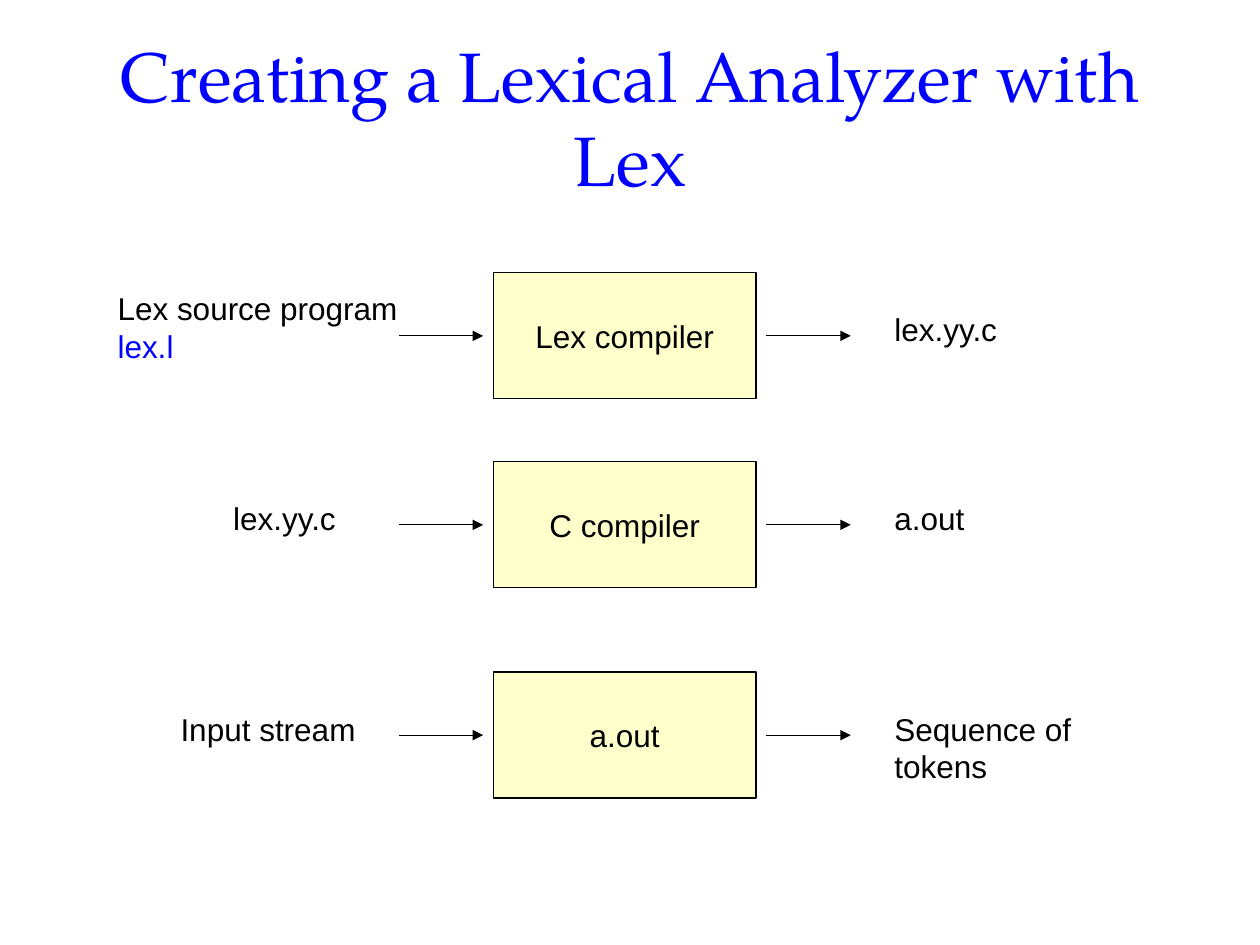
import pptx
import pptx.dml.color
import pptx.enum.shapes
import pptx.enum.text
import pptx.oxml.ns
import pptx.util
from lxml import etree

Cm = pptx.util.Cm
Pt = pptx.util.Pt
Align = pptx.enum.text.PP_ALIGN
Anchor = pptx.enum.text.MSO_ANCHOR
AutoSize = pptx.enum.text.MSO_AUTO_SIZE

COLORS = {"title": "0000FF", "file": "0000FF", "text": "000000",
          "line": "000000", "tool": "FFFFCC"}
TITLE_FONT = {"name": "TeX Gyre Pagella", "size": Pt(40)}
LABEL_FONT = {"name": "Arial", "size": Pt(18)}
TITLE_FRAME = {"word_wrap": True, "auto_size": AutoSize.NONE,
               "vertical_anchor": Anchor.MIDDLE}
TOOL_FRAME = {"word_wrap": False, "vertical_anchor": Anchor.MIDDLE}
LABEL_FRAME = {"word_wrap": True, "auto_size": AutoSize.SHAPE_TO_FIT_TEXT}
CENTERED = {"alignment": Align.CENTER}
LABEL_PARAGRAPH = {"alignment": Align.LEFT, "space_before": Pt(11.2)}

TOOL_LEFT, TOOL_WIDTH, TOOL_HEIGHT = 9.95, 5.29, 2.54
ARROW_STARTS, ARROW_LENGTH = (8.04, 15.45), 1.7
OUTPUT_LEFT = 17.78
ONE_LINE, TWO_LINES = 1.02, 1.78

STAGES = [
    {"middle": 6.77, "tool": "Lex compiler",
     "input": ([("Lex source program ", "text"), ("lex.l", "file")],
               2.12, 1.06, 6.35, TWO_LINES),
     "output": ("lex.yy.c", 3.18, ONE_LINE)},
    {"middle": 10.58, "tool": "C compiler",
     "input": ([("lex.yy.c", "text")], 4.45, 0.64, 4.23, ONE_LINE),
     "output": ("a.out", 3.18, ONE_LINE)},
    {"middle": 14.82, "tool": "a.out",
     "input": ([("Input stream", "text")], 3.39, 0.64, 5.29, ONE_LINE),
     "output": ("Sequence of tokens", 4.87, TWO_LINES)},
]


def rgb(role):
    return pptx.dml.color.RGBColor.from_string(COLORS[role])


def apply(target, values):
    for attribute, value in values.items():
        setattr(target, attribute, value)


def write(frame, pieces, font, frame_format, paragraph_format):
    apply(frame, frame_format)
    paragraph = frame.paragraphs[0]
    apply(paragraph, paragraph_format)
    for wording, role in pieces:
        run = paragraph.add_run()
        run.text = wording
        apply(run.font, font)
        run.font.color.rgb = rgb(role)


def add_title(slide, wording):
    title = slide.shapes.title
    apply(title, {"left": Cm(1.27), "top": Cm(0.76),
                  "width": Cm(22.86), "height": Cm(3.18)})
    write(title.text_frame, [(wording, "title")], TITLE_FONT, TITLE_FRAME, CENTERED)


def add_tool(slide, wording, middle):
    tool = slide.shapes.add_shape(
        pptx.enum.shapes.MSO_SHAPE.RECTANGLE, Cm(TOOL_LEFT),
        Cm(middle - TOOL_HEIGHT / 2), Cm(TOOL_WIDTH), Cm(TOOL_HEIGHT))
    tool.shadow.inherit = False
    tool.fill.solid()
    tool.fill.fore_color.rgb = rgb("tool")
    tool.line.color.rgb = rgb("line")
    tool.line.width = Pt(0.75)
    write(tool.text_frame, [(wording, "text")], LABEL_FONT, TOOL_FRAME, CENTERED)


def add_arrow(slide, start, middle):
    arrow = slide.shapes.add_connector(
        pptx.enum.shapes.MSO_CONNECTOR.STRAIGHT, Cm(start), Cm(middle),
        Cm(start + ARROW_LENGTH), Cm(middle))
    arrow.line.color.rgb = rgb("line")
    arrow.line.width = Pt(0.75)
    qn = pptx.oxml.ns.qn
    properties = arrow.element.spPr
    etree.SubElement(properties.find(qn("a:ln")), qn("a:tailEnd"), type="triangle")
    etree.SubElement(properties, qn("a:effectLst"))


def add_label(slide, pieces, left, top, width, height):
    label = slide.shapes.add_textbox(Cm(left), Cm(top), Cm(width), Cm(height))
    write(label.text_frame, pieces, LABEL_FONT, LABEL_FRAME, LABEL_PARAGRAPH)


def add_stage(slide, stage):
    middle = stage["middle"]
    add_tool(slide, stage["tool"], middle)
    for start in ARROW_STARTS:
        add_arrow(slide, start, middle)
    pieces, left, rise, width, height = stage["input"]
    add_label(slide, pieces, left, middle - rise, width, height)
    wording, width, height = stage["output"]
    add_label(slide, [(wording, "text")], OUTPUT_LEFT, middle - 0.64, width, height)


def main():
    deck = pptx.Presentation()
    apply(deck, {"slide_width": Cm(25.4), "slide_height": Cm(19.05)})
    slide = deck.slides.add_slide(deck.slide_layouts[5])
    add_title(slide, "Creating a Lexical Analyzer with Lex")
    for stage in STAGES:
        add_stage(slide, stage)
    deck.save("out.pptx")


if __name__ == "__main__":
    main()
